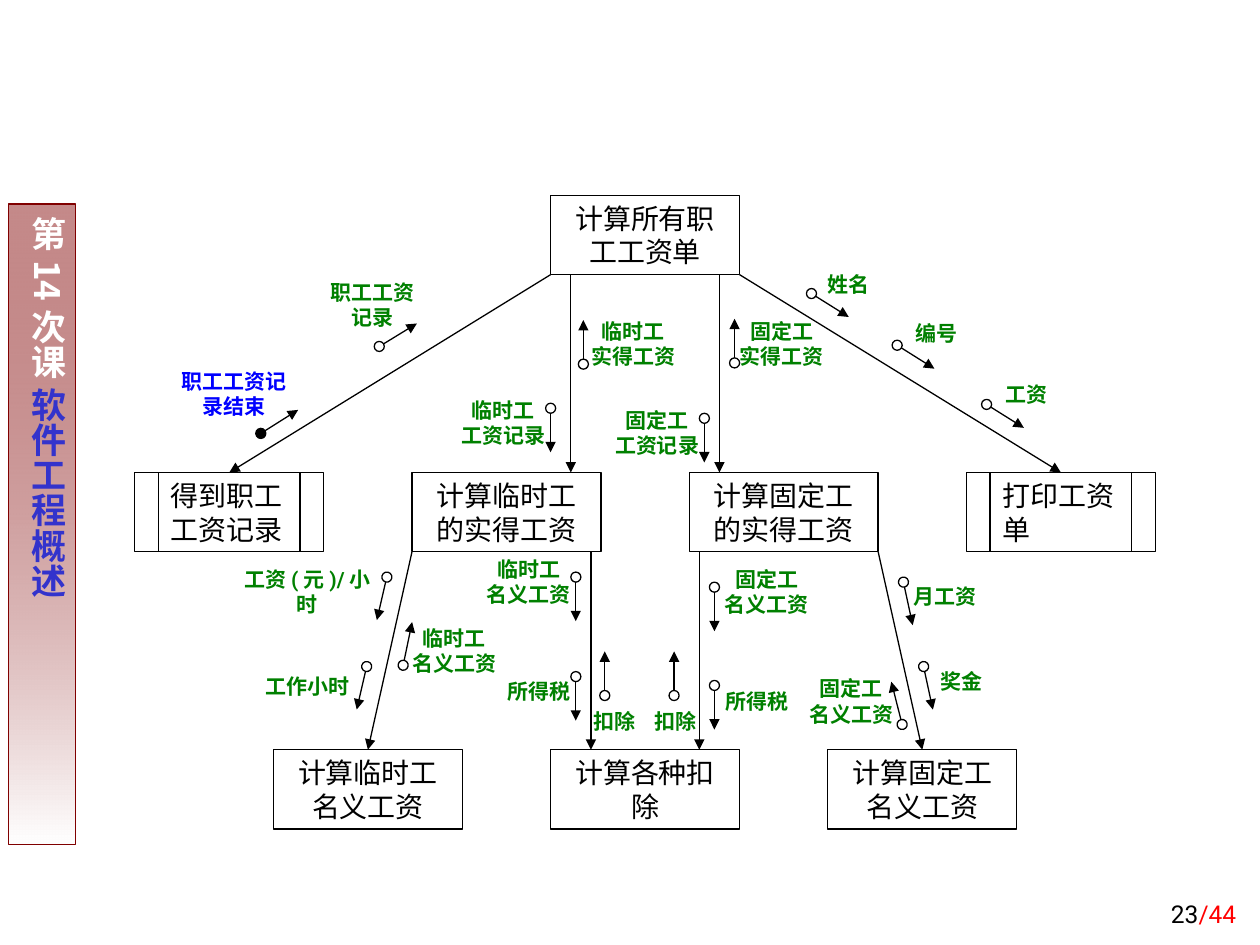
"""Build the structure chart slide of the payroll calculation."""
from math import cos, radians, sin

from lxml.etree import SubElement
from pptx import Presentation
from pptx.dml.color import RGBColor
from pptx.enum.shapes import MSO_CONNECTOR as CONN, MSO_SHAPE as SHAPE
from pptx.enum.text import MSO_ANCHOR as ANCHOR, PP_ALIGN as ALIGN
from pptx.oxml.ns import qn
from pptx.util import Inches, Pt

BLACK = RGBColor(0, 0, 0)
WHITE = RGBColor(0xFF, 0xFF, 0xFF)
GREEN = RGBColor(0, 0x80, 0)
BLUE = RGBColor(0, 0, 0xFF)
INDIGO = RGBColor(0x33, 0x33, 0xCC)
MAROON = RGBColor(0x80, 0, 0)
RED = RGBColor(0xFF, 0, 0)

FONT, SIDE_FONT = "Roboto", "Noto Sans CJK SC"
BOX_W, BOX_H = 1.5, 0.63
COLUMN_STEP, ROW_STEP = 1.1, 2.2
ROOT_X, ROOT_Y = 4.37, 1.55
RADIUS, ARROW_LEN = 0.04, 0.31

MODULES = [
    ("计算所有职工工资单", 0, 0, SHAPE.RECTANGLE),
    ("得到职工工资记录", -3, 1, SHAPE.FLOWCHART_PREDEFINED_PROCESS),
    ("计算临时工的实得工资", -1, 1, SHAPE.RECTANGLE),
    ("计算固定工的实得工资", 1, 1, SHAPE.RECTANGLE),
    ("打印工资单", 3, 1, SHAPE.FLOWCHART_PREDEFINED_PROCESS),
    ("计算临时工名义工资", -2, 2, SHAPE.RECTANGLE),
    ("计算各种扣除", 0, 2, SHAPE.RECTANGLE),
    ("计算固定工名义工资", 2, 2, SHAPE.RECTANGLE),
]

STRAIGHT_CALLS = [(4.53, 0), (5.71, 0), (4.69, 1), (5.55, 1)]
CORNER_CALLS = [
    ("计算所有职工工资单", 0, "得到职工工资记录"),
    ("计算所有职工工资单", BOX_W, "打印工资单"),
    ("计算临时工的实得工资", 0, "计算临时工名义工资"),
    ("计算固定工的实得工资", BOX_W, "计算固定工名义工资"),
]

COUPLES = [
    (3.01, 2.75, 328.6), (6.44, 2.33, 32.1), (7.12, 2.74, 32.1),
    (7.83, 3.21, 32.1), (3.07, 4.58, 103), (2.91, 5.29, 103),
    (3.2, 5.28, 281.7), (4.57, 4.58, 90), (4.57, 5.37, 90),
    (4.8, 5.52, 270), (5.35, 5.52, 270), (5.67, 4.66, 90),
    (5.67, 5.44, 90), (7.17, 4.62, 77.8), (7.33, 5.29, 77.8),
    (7.16, 5.75, 255.8), (4.37, 3.24, 90), (5.59, 3.32, 90),
    (4.63, 2.89, 270), (5.83, 2.88, 270),
]

LABELS = [
    ("职工工资记录", 2.48, 2.1, 0.95, 0.63),
    ("姓名", 6.26, 1.94, 0.95, 0.63),
    ("编号", 6.96, 2.33, 0.95, 0.63),
    ("工资", 7.67, 2.81, 0.95, 0.63),
    ("工资(元)/小时", 1.77, 4.38, 1.34, 0.63),
    ("工作小时", 1.77, 5.25, 1.34, 0.39),
    ("临时工\n名义工资", 3.15, 4.85, 0.91, 0.63),
    ("临时工\n名义工资", 3.74, 4.3, 0.91, 0.63),
    ("所得税", 3.82, 5.17, 0.91, 0.63),
    ("扣除", 4.6, 5.56, 0.56, 0.32),
    ("扣除", 5.08, 5.56, 0.56, 0.32),
    ("固定工\n名义工资", 5.63, 4.38, 0.91, 0.63),
    ("所得税", 5.55, 5.25, 0.91, 0.63),
    ("月工资", 7.13, 4.54, 0.74, 0.38),
    ("奖金", 7.36, 5.25, 0.55, 0.31),
    ("固定工\n名义工资", 6.3, 5.25, 0.91, 0.63),
    ("临时工\n工资记录", 3.54, 3.04, 0.91, 0.63),
    ("固定工\n工资记录", 4.76, 3.12, 0.91, 0.63),
    ("临时工\n实得工资", 4.57, 2.41, 0.91, 0.63),
    ("固定工\n实得工资", 5.75, 2.41, 0.91, 0.63),
]


def add_run(p, text, size, color, bold=False, font=FONT):
    r = p.add_run()
    r.text = text
    r.font.size = Pt(size)
    r.font.bold = bold
    r.font.color.rgb = color
    r.font.name = font
    SubElement(r.font._element, qn("a:ea")).set("typeface", font)


def style_frame(sp, align, anchor=ANCHOR.MIDDLE):
    tf = sp.text_frame
    tf.word_wrap = True
    tf.vertical_anchor = anchor
    p = tf.paragraphs[0]
    p.alignment = align
    return p


def add_outline(shapes, kind, x, y, w, h, color=BLACK):
    sp = shapes.add_shape(kind, Inches(x), Inches(y), Inches(w), Inches(h))
    sp.shadow.inherit = False
    sp.fill.background()
    sp.line.color.rgb = color
    sp.line.width = Pt(0.75)
    return sp


def add_arrow(shapes, x1, y1, x2, y2):
    line = shapes.add_connector(
        CONN.STRAIGHT, Inches(x1), Inches(y1), Inches(x2), Inches(y2))
    line.line.color.rgb = BLACK
    line.line.width = Pt(0.75)
    SubElement(line.line._get_or_add_ln(), qn("a:tailEnd")).set("type", "triangle")
    SubElement(line._element.spPr, qn("a:effectLst"))
    return line


def add_module(shapes, name, column, row, kind):
    x, y = ROOT_X + column * COLUMN_STEP, ROOT_Y + row * ROW_STEP
    sp = add_outline(shapes, kind, x, y, BOX_W, BOX_H)
    align = ALIGN.CENTER if kind == SHAPE.RECTANGLE else ALIGN.LEFT
    add_run(style_frame(sp, align), name, 16, BLACK)
    return sp


def add_couple(shapes, cx, cy, angle, filled=False):
    group = shapes.add_group_shape().shapes
    dx, dy = cos(radians(angle)), sin(radians(angle))
    end = RADIUS + ARROW_LEN
    add_arrow(group, cx + RADIUS * dx, cy + RADIUS * dy, cx + end * dx, cy + end * dy)
    sp = add_outline(group, SHAPE.OVAL, cx - RADIUS, cy - RADIUS, 2 * RADIUS, 2 * RADIUS)
    sp.rotation = angle
    if filled:
        sp.fill.solid()
        sp.fill.fore_color.rgb = BLACK


def add_label(shapes, text, x, y, w, h, color=GREEN):
    sp = shapes.add_textbox(Inches(x), Inches(y), Inches(w), Inches(h))
    p = style_frame(sp, ALIGN.CENTER)
    first, *others = text.split("\n")
    add_run(p, first, 12, color, True)
    for line in others:
        p = sp.text_frame.add_paragraph()
        p.alignment = ALIGN.CENTER
        add_run(p, line, 12, color, True)


def add_sidebar(shapes):
    sp = add_outline(shapes, SHAPE.RECTANGLE, 0.07, 1.62, 0.53, 5.08, MAROON)
    sp.fill.gradient()
    sp.fill.gradient_angle = 270
    for stop, color, position in zip(sp.fill.gradient_stops, (MAROON, WHITE), (0, 1)):
        stop.color.rgb = color
        stop.position = position
    maroon = next(sp._element.spPr.iter(qn("a:srgbClr")))
    SubElement(maroon, qn("a:alpha")).set("val", "46000")
    p = style_frame(sp, ALIGN.CENTER, ANCHOR.TOP)
    tf = sp.text_frame
    tf.margin_left = tf.margin_right = Inches(0.05)
    tf.margin_top = tf.margin_bottom = Inches(0.1)
    tf._txBody.bodyPr.set("vert", "eaVert")
    add_run(p, "第14次课 ", 20, WHITE, True, SIDE_FONT)
    add_run(p, "软件工程概述", 20, INDIGO, True, SIDE_FONT)


def add_page_number(shapes):
    sp = shapes.add_textbox(Inches(7.83), Inches(6.92), Inches(2.08), Inches(0.5))
    p = style_frame(sp, ALIGN.RIGHT, ANCHOR.BOTTOM)
    add_run(p, "23", 14, BLACK)
    add_run(p, "/44", 14, RED)


def main():
    prs = Presentation()
    prs.slide_width, prs.slide_height = Inches(10), Inches(7.5)
    shapes = prs.slides.add_slide(prs.slide_layouts[6]).shapes
    add_sidebar(shapes)
    add_page_number(shapes)
    modules = {m[0]: add_module(shapes, *m) for m in MODULES}
    for x, row in STRAIGHT_CALLS:
        y = ROOT_Y + row * ROW_STEP
        add_arrow(shapes, x, y + BOX_H, x, y + ROW_STEP)
    for caller, offset, callee in CORNER_CALLS:
        sp = modules[caller]
        x, y = sp.left.inches + offset, sp.top.inches + BOX_H
        add_arrow(shapes, x, y, x, y).end_connect(modules[callee], 0)
    for couple in COUPLES:
        add_couple(shapes, *couple)
    add_couple(shapes, 2.07, 3.44, 327.8, filled=True)
    for label in LABELS:
        add_label(shapes, *label)
    add_label(shapes, "职工工资记录结束", 1.34, 2.81, 1.03, 0.63, BLUE)
    prs.save("out.pptx")


if __name__ == "__main__":
    main()
